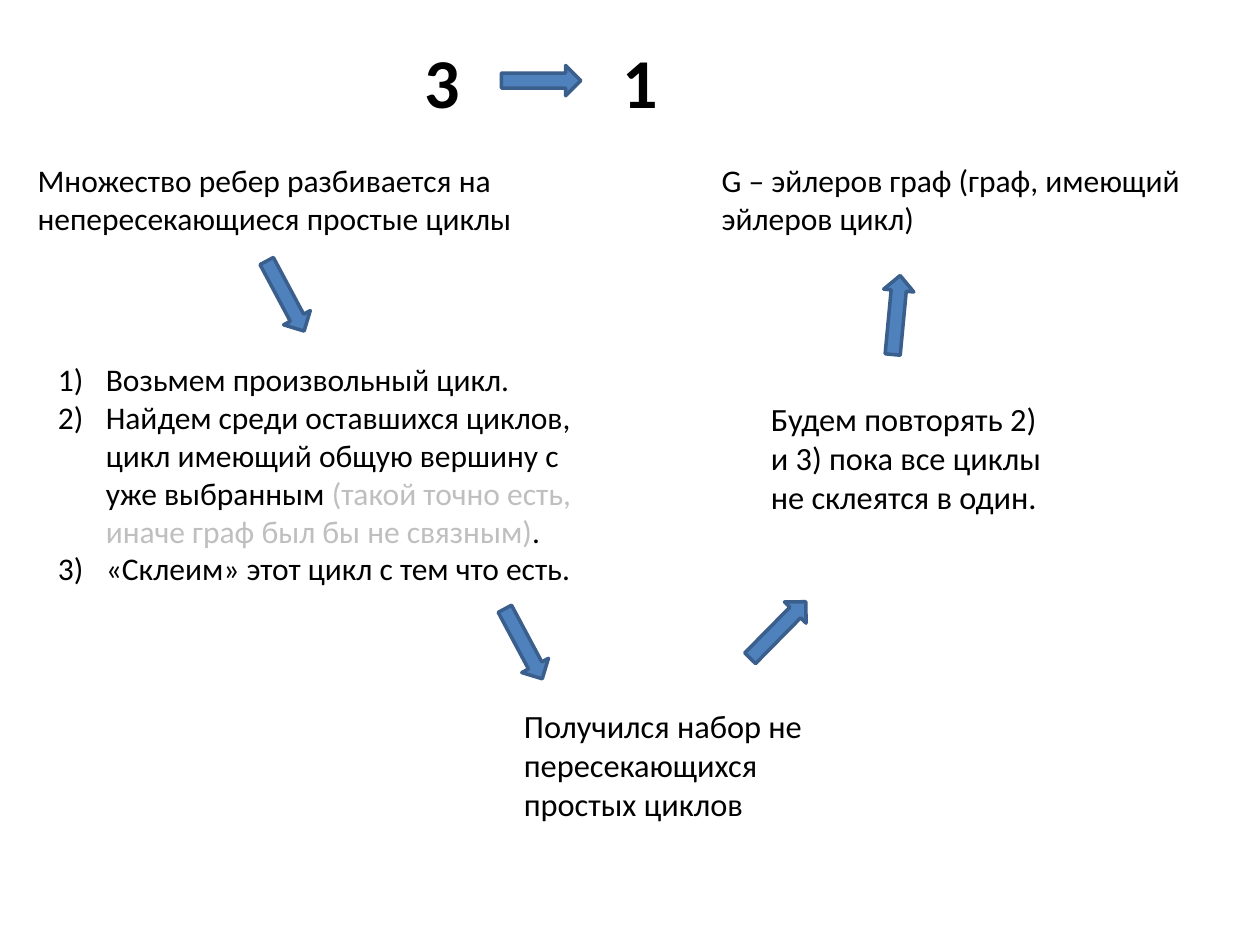
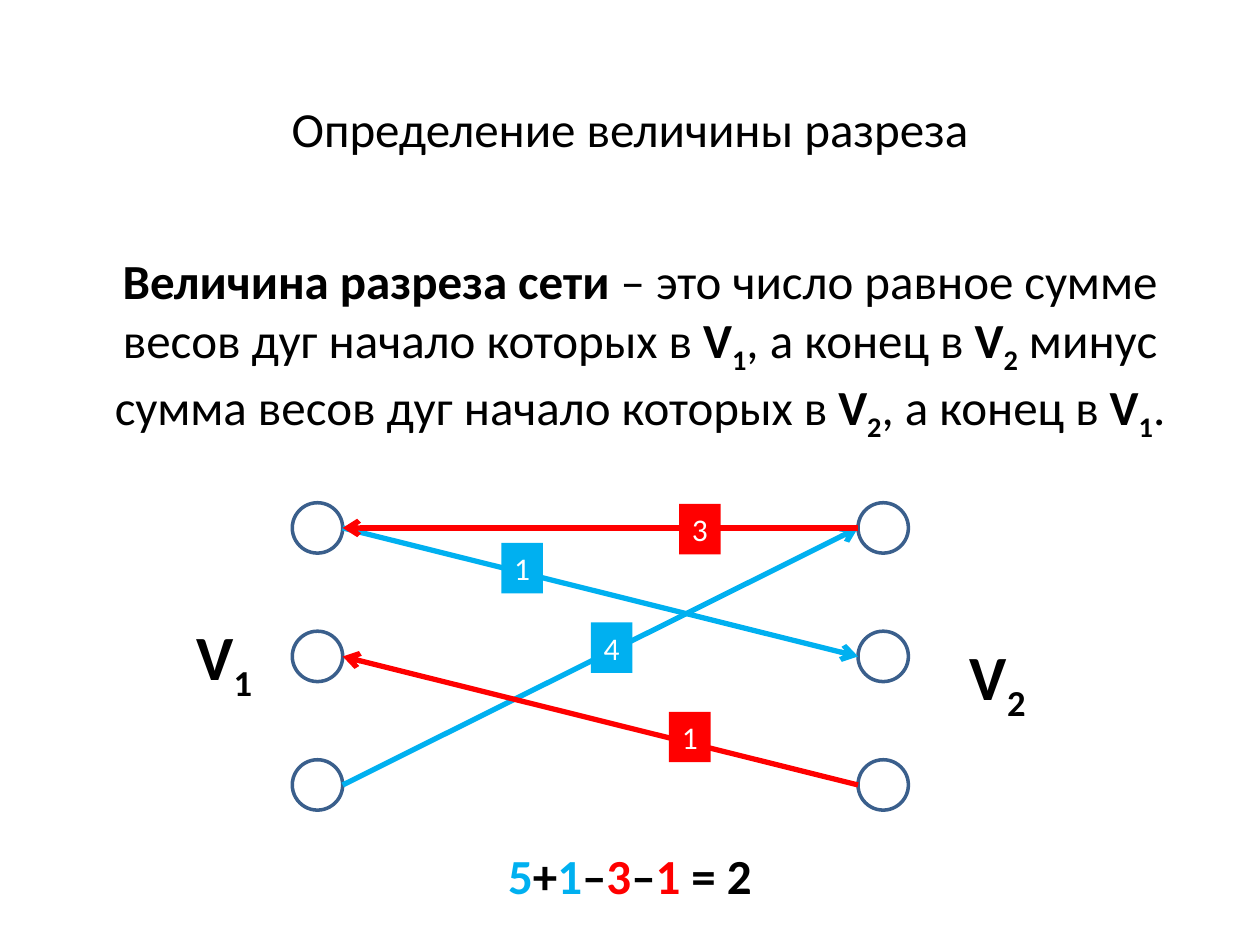
from dataclasses import dataclass

from lxml import etree
from pptx import Presentation
from pptx.dml.color import RGBColor
from pptx.enum.shapes import MSO_CONNECTOR, MSO_SHAPE
from pptx.enum.text import MSO_ANCHOR, MSO_AUTO_SIZE, PP_ALIGN
from pptx.oxml.ns import qn
from pptx.util import Inches, Pt

LEFT, CENTER = PP_ALIGN.LEFT, PP_ALIGN.CENTER
TOP, MIDDLE = MSO_ANCHOR.TOP, MSO_ANCHOR.MIDDLE
NO_FIT = MSO_AUTO_SIZE.NONE
OVAL, RECTANGLE, BLOCK_ARROW = MSO_SHAPE.OVAL, MSO_SHAPE.RECTANGLE, MSO_SHAPE.RIGHT_ARROW
STRAIGHT = MSO_CONNECTOR.STRAIGHT

WIDTH, HEIGHT = Inches(10), Inches(7.5)
COLUMN, ROW = WIDTH / 100, HEIGHT / 75


@dataclass(frozen=True)
class Theme:
    """Colours, font and type sizes of the presentation."""
    font: str = "Calibri"
    ink: str = "000000"
    paper: str = "FFFFFF"
    aside: str = "BFBFBF"
    accent: str = "4F81BD"
    outline: str = "3A5F8C"
    forward: str = "00B0F0"
    backward: str = "FF0000"
    implication: float = 40
    symbol: float = 36
    heading: float = 28
    step: float = 18.5
    text: float = 18
    outline_width: float = 2
    edge_width: float = 3


THEME = Theme()


def rgb(code):
    """Turn a hex code into a colour."""
    return RGBColor.from_string(code)


def grid(x, y, w, h):
    """Turn columns and rows into a position and size."""
    return round(x * COLUMN), round(y * ROW), round(w * COLUMN), round(h * ROW)


def move(placeholder, area):
    """Put a placeholder on the grid."""
    placeholder.left, placeholder.top, placeholder.width, placeholder.height = grid(*area)
    return placeholder


def add_runs(paragraph, pieces):
    """Add (text, colour, bold, subscript) pieces to a paragraph."""
    for text, color, bold, subscript in pieces:
        run = paragraph.add_run()
        run.text = text
        if color:
            run.font.color.rgb = rgb(color)
        if bold:
            run.font.bold = True
        if subscript:
            run.font._element.set("baseline", "-25000")


def piece(text, color=None, bold=False, subscript=False):
    """Describe one run."""
    return text, color, bold, subscript


def vertex_set(number):
    """Describe the name of a vertex set with its index."""
    return [piece("V", bold=True), piece(number, bold=True, subscript=True)]


def write(shape, paragraphs, size, color=THEME.ink, bold=False, align=LEFT,
          anchor=TOP, wrap=True, numbered=False):
    """Fill a shape with paragraphs, each a string or a list of pieces."""
    frame = shape.text_frame
    frame.auto_size = NO_FIT
    frame.word_wrap = wrap
    frame.vertical_anchor = anchor
    for index, content in enumerate(paragraphs):
        paragraph = frame.add_paragraph() if index else frame.paragraphs[0]
        properties = paragraph._p.get_or_add_pPr()
        hang = Inches(0.38) if numbered else 0
        properties.set("marL", str(hang))
        properties.set("indent", str(-hang))
        if numbered:
            etree.SubElement(properties, qn("a:buAutoNum"), type="arabicParenR")
        else:
            etree.SubElement(properties, qn("a:buNone"))
        paragraph.alignment = align
        paragraph.space_before = Pt(0)
        font = paragraph.font
        font.name, font.size, font.bold = THEME.font, Pt(size), bold
        font.color.rgb = rgb(color)
        add_runs(paragraph, [piece(content)] if isinstance(content, str) else content)


def add_text(slide, area, content, size, **style):
    """Add a text box with one paragraph."""
    write(slide.shapes.add_textbox(*grid(*area)), [content], size, **style)


def add_figure(slide, kind, area, fill, outline=None):
    """Add a flat preset shape."""
    figure = slide.shapes.add_shape(kind, *grid(*area))
    figure.shadow.inherit = False
    figure.fill.solid()
    figure.fill.fore_color.rgb = rgb(fill)
    if outline:
        figure.line.color.rgb = rgb(outline)
        figure.line.width = Pt(THEME.outline_width)
    else:
        figure.line.fill.background()
    return figure


def add_block_arrow(slide, x, y, angle):
    """Add a block arrow turned by an angle."""
    arrow = add_figure(slide, BLOCK_ARROW, (x, y, 6.3, 2.4), THEME.accent, THEME.outline)
    arrow.rotation = angle


def add_arc(slide, start, end, color):
    """Add a directed arc between two grid points."""
    arc = slide.shapes.add_connector(STRAIGHT, *grid(*start, *end))
    arc.line.color.rgb = rgb(color)
    arc.line.width = Pt(THEME.edge_width)
    etree.SubElement(arc.line._get_or_add_ln(), qn("a:tailEnd"), type="arrow")
    etree.SubElement(arc._element.spPr, qn("a:effectLst"))


def add_weight(slide, x, y, weight, color):
    """Add the weight label of an arc."""
    label = add_figure(slide, RECTANGLE, (x, y, 3.3, 4), color)
    write(label, [weight], THEME.text, color=THEME.paper, align=CENTER, wrap=False)


def build_proof(slide):
    """Show the proof that statement 3 implies statement 1."""
    premise, steps = slide.placeholders
    write(move(premise, (32.7, 1.3, 4.7, 10.2)), ["3"], THEME.implication,
          bold=True, anchor=MIDDLE)
    add_text(slide, (48.4, 1.3, 3.9, 10.2), "1", THEME.implication, bold=True, anchor=MIDDLE)
    for x, statement in (
        (2, "Множество ребер разбивается на непересекающиеся простые циклы"),
        (56.3, "G – эйлеров граф (граф, имеющий эйлеров цикл)"),
    ):
        add_text(slide, (x, 12.3, 40, 7.1), statement, THEME.text)
    write(move(steps, (3.6, 28.1, 43.2, 19.2)), [
        "Возьмем произвольный цикл.",
        [piece("Найдем среди оставшихся циклов, цикл имеющий общую вершину с уже выбранным "),
         piece("(такой точно есть, иначе граф был бы не связным)", THEME.aside),
         piece(".")],
        "«Склеим» этот цикл с тем что есть.",
    ], THEME.text, numbered=True)
    for x, y, conclusion in (
        (40.6, 55.6, "Получился набор не пересекающихся простых циклов"),
        (60.2, 31.2, "Будем повторять 2) и 3) пока все циклы не склеятся в один."),
    ):
        add_text(slide, (x, y, 24.4, 10.2), conclusion, THEME.step, anchor=MIDDLE)
    for x, y, angle in ((39.8, 5.2, 0), (19.5, 22.3, 61.9), (38.4, 49.9, 61.9),
                        (58.6, 48.8, 314.6), (68, 23.8, 275.4)):
        add_block_arrow(slide, x, y, angle)


def build_network(slide):
    """Draw the two vertex sets and the weighted arcs between them."""
    left_x, right_x, diameter = 23.2, 68.1, 4
    levels = [39.9 + 10.2 * level for level in range(3)]
    for x in (left_x, right_x):
        for y in levels:
            add_figure(slide, OVAL, (x, y, diameter, diameter), THEME.paper, THEME.outline)
    left_ports = [(left_x + diameter, y + diameter / 2) for y in levels]
    right_ports = [(right_x, y + diameter / 2) for y in levels]
    for start, end, color in (
        (left_ports[0], right_ports[1], THEME.forward),
        (left_ports[2], right_ports[0], THEME.forward),
        (right_ports[0], left_ports[0], THEME.backward),
        (right_ports[2], left_ports[1], THEME.backward),
    ):
        add_arc(slide, start, end, color)
    for x, y, weight, color in ((39.8, 43.1, "1", THEME.forward),
                                (53.9, 40, "3", THEME.backward),
                                (46.9, 49.4, "4", THEME.forward),
                                (53.1, 56.5, "1", THEME.backward)):
        add_weight(slide, x, y, weight, color)
    for x, y, number in ((14.6, 48.5, "1"), (76, 50.1, "2")):
        add_text(slide, (x, y, 6.7, 7.1), vertex_set(number), THEME.symbol, bold=True, wrap=False)


def build_cut_value(slide):
    """Define the value of a cut and work out an example."""
    heading, definition = slide.placeholders
    write(move(heading, (7.5, 2.1, 85, 16.1)), ["Определение величины разреза"],
          THEME.heading, align=CENTER, anchor=MIDDLE)
    write(move(definition, (6.7, 19.4, 88.2, 15.1)), [[
        piece("Величина разреза сети ", bold=True),
        piece("– это число равное сумме весов дуг начало которых в "), *vertex_set("1"),
        piece(", а конец в "), *vertex_set("2"),
        piece(" минус сумма весов дуг начало которых в "), *vertex_set("2"),
        piece(", а конец в "), *vertex_set("1"), piece("."),
    ]], THEME.heading, align=CENTER)
    build_network(slide)
    add_text(slide, (0, 66.6, 100, 5.7), [
        piece("5", THEME.forward), piece("+"), piece("1", THEME.forward), piece("–"),
        piece("3", THEME.backward), piece("–"), piece("1", THEME.backward), piece(" = 2"),
    ], THEME.heading, bold=True, align=CENTER)


def main():
    """Build the presentation."""
    deck = Presentation()
    deck.slide_width, deck.slide_height = WIDTH, HEIGHT
    title_and_content = deck.slide_layouts[1]
    for build in (build_proof, build_cut_value):
        build(deck.slides.add_slide(title_and_content))
    deck.save("out.pptx")


if __name__ == "__main__":
    main()
